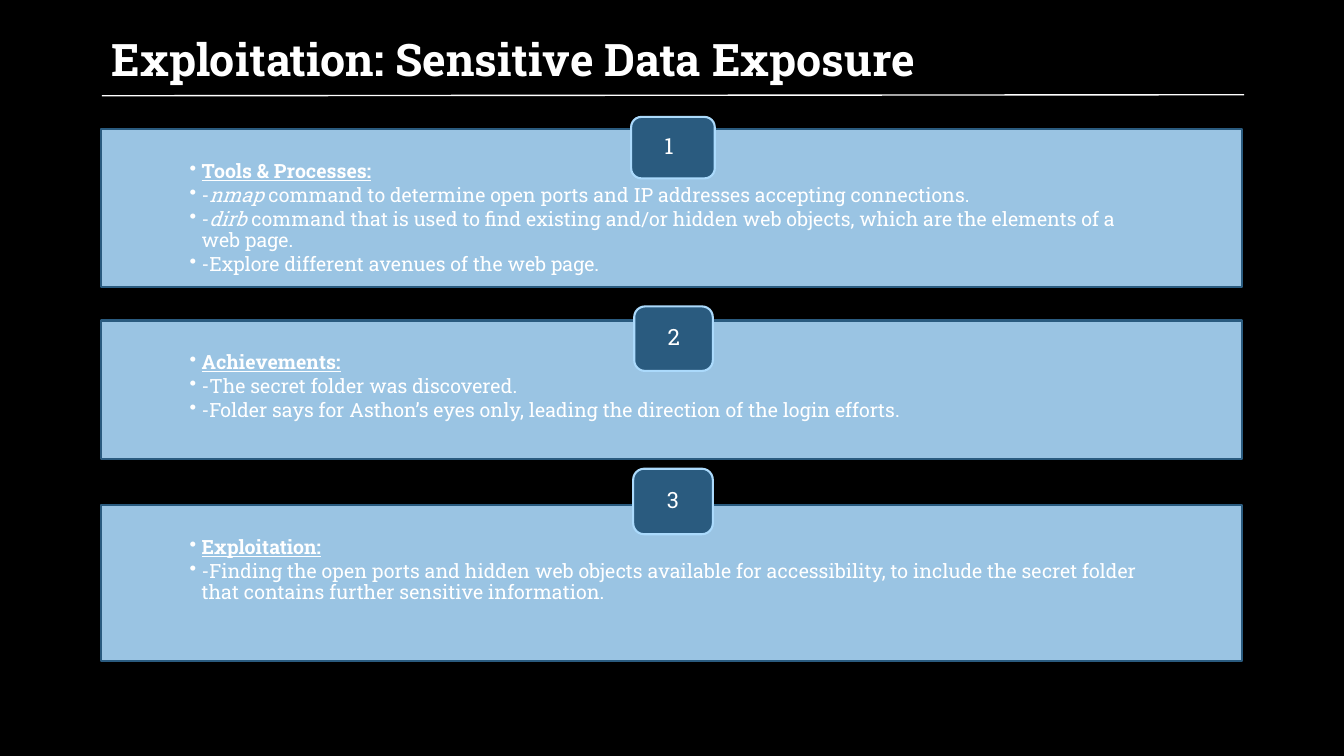
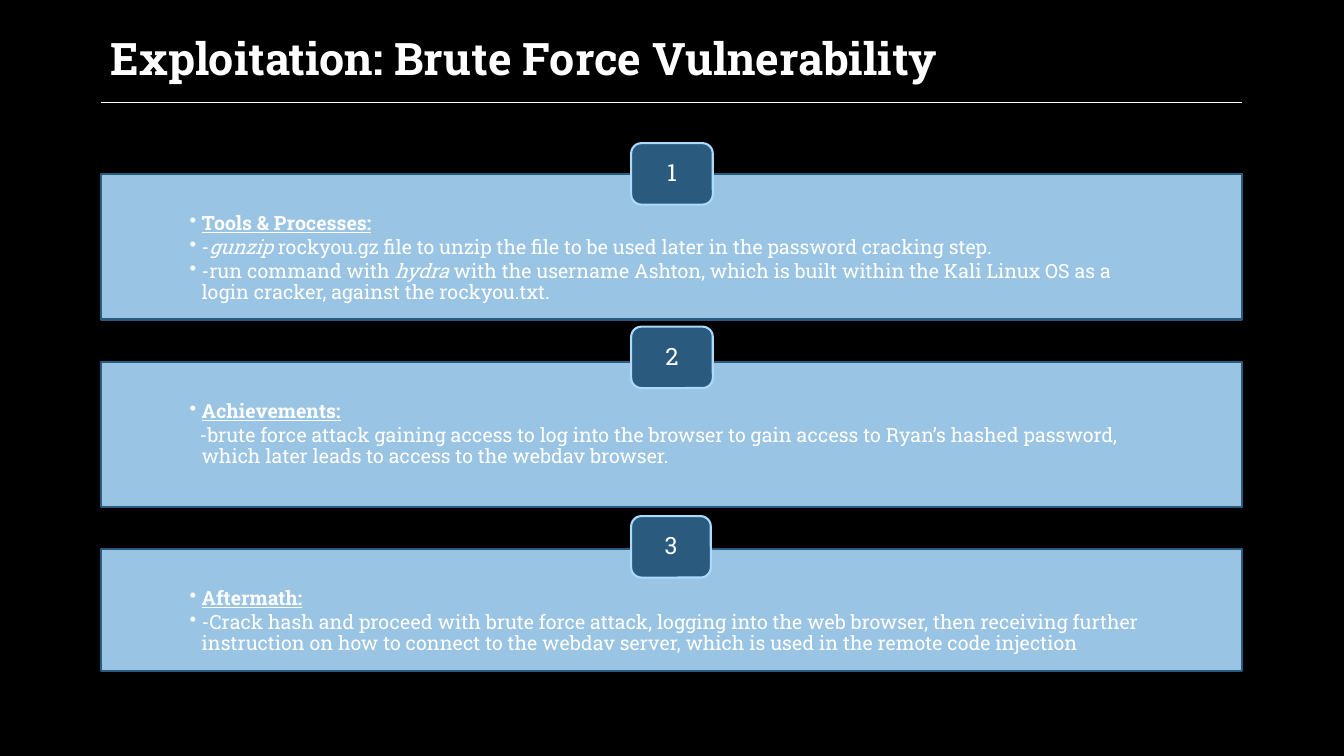
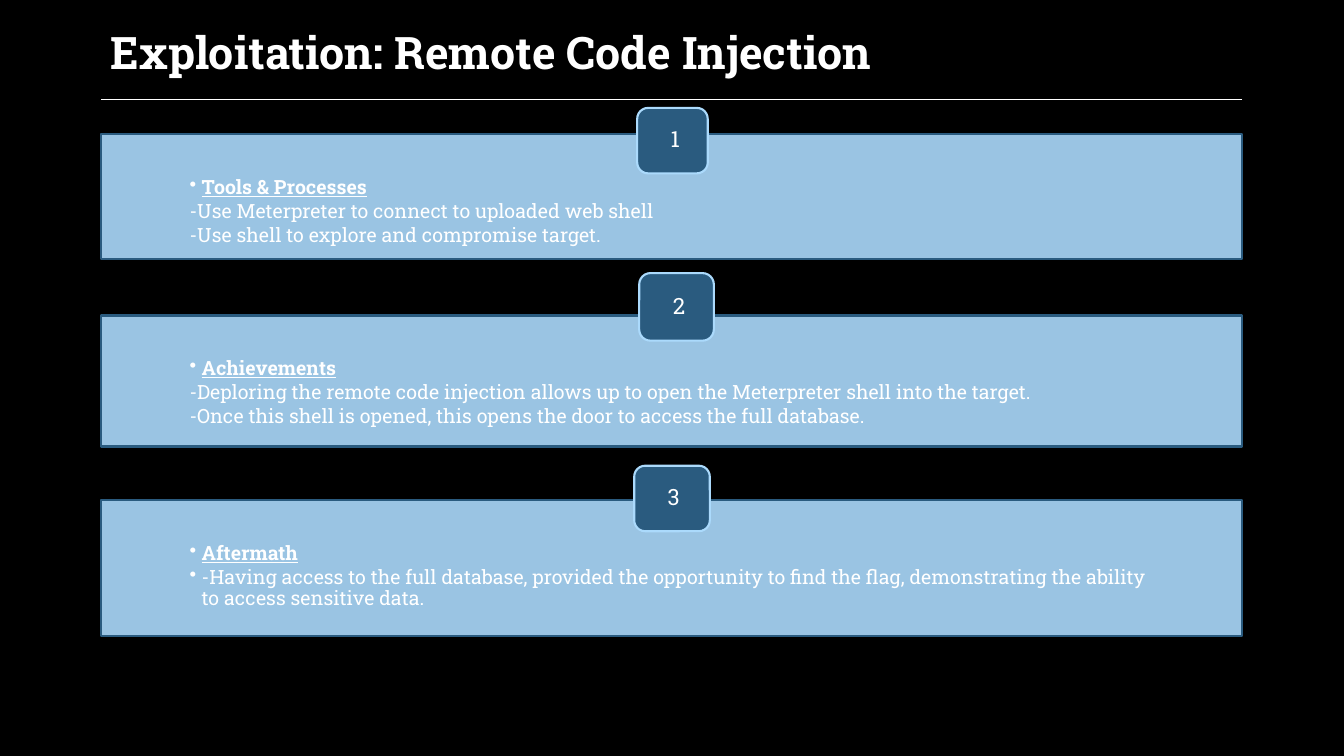
"""Builds three slides on exploitation steps, each with numbered bands."""
import pptx
import pptx.util
import pptx.dml.color
import pptx.enum.shapes
import pptx.enum.text
import pptx.oxml.ns
import lxml.etree

Inches = pptx.util.Inches
Pt = pptx.util.Pt
KIND = pptx.enum.shapes.MSO_SHAPE
ALIGN = pptx.enum.text.PP_ALIGN
ANCHOR = pptx.enum.text.MSO_ANCHOR

FONT = "Roboto Slab"
BLACK, WHITE, PALE, DEEP = "000000", "FFFFFF", "ABDAFC", "2A5B7F"
LEFT, WIDE = 1, 11.32
HANG = 0.12
FIRST = {"dot": -HANG, "plain": -HANG, "near": -0.02}

SLIDES = [
    {"title": "Exploitation: Sensitive Data Exposure", "box": (1.01, 0.29),
     "rule": (12.34, 0.94, 1.01, 0.95), "pad": 0.32, "size": 16,
     "bands": [
         {"top": 1.28, "high": 1.57, "badge": (6.26, 1.16, 0.83, 0.61), "align": ALIGN.LEFT,
          "head": "Tools & Processes:",
          "lines": [
              ("dot", "-*nmap* command to determine open ports and IP addresses accepting connections."),
              ("dot", "-*dirb* command that is used to find existing and/or hidden web objects, "
                      "which are the elements of a web page."),
              ("dot", "-Explore different avenues of the web page.")]},
         {"top": 3.18, "high": 1.37, "badge": (6.29, 3.04, 0.78, 0.64),
          "head": "Achievements:",
          "lines": [
              ("dot", "-The secret folder was discovered."),
              ("dot", "-Folder says for Asthon’s eyes only, leading the direction of the login efforts.")]},
         {"top": 5.01, "high": 1.55, "badge": (6.28, 4.65, 0.79, 0.65),
          "head": "Exploitation:",
          "lines": [
              ("dot", "-Finding the open ports and hidden web objects available for accessibility, "
                      "to include the secret folder that contains further sensitive information.")]}]},
    {"title": "Exploitation: Brute Force Vulnerability", "box": (1, 0.28),
     "rule": (12.32, 1.02, 1, 1.02), "pad": 0.39, "size": 17,
     "bands": [
         {"top": 1.73, "high": 1.44, "badge": (6.26, 1.42, 0.81, 0.61),
          "head": "Tools & Processes:",
          "lines": [
              ("dot", "-*gunzip* rockyou.gz file to unzip the file to be used later "
                      "in the password cracking step."),
              ("dot", "-run command with *hydra* with the username Ashton, which is built within "
                      "the Kali Linux OS as a login cracker, against the rockyou.txt.")]},
         {"top": 3.59, "high": 1.44, "badge": (6.26, 3.24, 0.81, 0.61),
          "head": "Achievements:",
          "lines": [
              ("near", "-brute force attack gaining access to log into the browser to gain access "
                       "to Ryan’s hashed password, which later leads to access to the webdav browser.")]},
         {"top": 5.45, "high": 1.21, "badge": (6.26, 5.12, 0.79, 0.61),
          "head": "Aftermath:",
          "lines": [
              ("dot", "-Crack hash and proceed with brute force attack, logging into the web browser, "
                      "then receiving further instruction on how to connect to the webdav server, "
                      "which is used in the remote code injection")]}]},
    {"title": "Exploitation: Remote Code Injection", "box": (1, 0.22),
     "rule": (12.32, 0.99, 1, 0.99), "pad": 0.43, "size": 16,
     "bands": [
         {"top": 1.33, "high": 1.24, "badge": (6.32, 1.07, 0.7, 0.65),
          "head": "Tools & Processes",
          "lines": [
              ("plain", "-Use Meterpreter to connect to uploaded web shell"),
              ("plain", "-Use shell to explore and compromise target.")]},
         {"top": 3.13, "high": 1.3, "badge": (6.34, 2.71, 0.74, 0.67),
          "head": "Achievements",
          "lines": [
              ("plain", "-Deploring the remote code injection allows up to open "
                        "the Meterpreter shell into the target."),
              ("plain", "-Once this shell is opened, this opens the door to access the full database.")]},
         {"top": 4.96, "high": 1.35, "badge": (6.29, 4.62, 0.75, 0.65),
          "head": "Aftermath",
          "lines": [
              ("dot", "-Having access to the full database, provided the opportunity to find the flag, "
                      "demonstrating the ability to access sensitive data.")]}]},
]


def paint(item, code):
    item.rgb = pptx.dml.color.RGBColor.from_string(code)


def add_xml(node, tag, **attrs):
    return lxml.etree.SubElement(node, pptx.oxml.ns.qn(tag), attrs)


def add_run(para, text, size, bold=False, italic=False, under=False):
    run = para.add_run()
    run.text = text
    font = run.font
    font.name, font.size = FONT, Pt(size)
    font.bold, font.italic, font.underline = bold, italic, under
    paint(font.color, WHITE)


def add_shape(slide, kind, place, fill, edge, pads):
    shape = slide.shapes.add_shape(kind, *map(Inches, place))
    shape.shadow.inherit = False
    shape.fill.solid()
    paint(shape.fill.fore_color, fill)
    paint(shape.line.color, edge)
    shape.line.width = Pt(1.5)
    frame = shape.text_frame
    frame.word_wrap = True
    frame.margin_left, frame.margin_top, frame.margin_right, frame.margin_bottom = map(Inches, pads)
    return shape


def set_para(para, mark):
    para.alignment = ALIGN.LEFT
    para.line_spacing = 0.9
    para.space_after = Pt(2)
    props = para._p.get_or_add_pPr()
    props.set("marL", str(Inches(HANG)))
    props.set("indent", str(Inches(FIRST[mark])))
    if mark == "dot":
        add_xml(props, "a:buChar", char="•")


def add_band(slide, band, pad):
    shape = add_shape(slide, KIND.RECTANGLE, (LEFT, band["top"], WIDE, band["high"]),
                      PALE, DEEP, (0.88, pad, 0.88, 0.11))
    tint = shape.fill._xPr.find(".//" + pptx.oxml.ns.qn("a:srgbClr"))
    add_xml(tint, "a:alpha", val="90000")
    frame = shape.text_frame
    frame.vertical_anchor = ANCHOR.TOP
    para = frame.paragraphs[0]
    set_para(para, "dot")
    add_run(para, band["head"], 14, bold=True, under=True)
    for mark, text in band["lines"]:
        para = frame.add_paragraph()
        set_para(para, mark)
        for num, part in enumerate(text.split("*")):
            add_run(para, part, 14, italic=num % 2 == 1)


def add_badge(slide, band, num, size):
    shape = add_shape(slide, KIND.ROUNDED_RECTANGLE, band["badge"], DEEP, PALE, (0.3, 0, 0.3, 0))
    shape.text_frame.vertical_anchor = ANCHOR.MIDDLE
    para = shape.text_frame.paragraphs[0]
    para.alignment = band.get("align", ALIGN.CENTER)
    para.line_spacing = 0.9
    add_run(para, str(num), size)


def add_title(slide, text, box):
    title = slide.shapes.title
    title.left, title.top, title.width, title.height = map(Inches, (*box, WIDE, 0.65))
    frame = title.text_frame
    frame.auto_size = pptx.enum.text.MSO_AUTO_SIZE.NONE
    frame.vertical_anchor = ANCHOR.MIDDLE
    para = frame.paragraphs[0]
    para.alignment = ALIGN.LEFT
    para.line_spacing = 0.9
    add_run(para, text, 32, bold=True)


def add_rule(slide, ends):
    rule = slide.shapes.add_connector(pptx.enum.shapes.MSO_CONNECTOR.STRAIGHT, *map(Inches, ends))
    paint(rule.line.color, WHITE)
    rule.line.width = Pt(1)
    add_xml(rule._element.spPr, "a:effectLst")


def main():
    deck = pptx.Presentation()
    deck.slide_width, deck.slide_height = Inches(13.33), Inches(7.5)
    back = deck.slide_master.background.fill
    back.solid()
    paint(back.fore_color, BLACK)
    for page in SLIDES:
        slide = deck.slides.add_slide(deck.slide_layouts[5])
        add_title(slide, page["title"], page["box"])
        for num, band in enumerate(page["bands"], 1):
            add_band(slide, band, page["pad"])
            add_badge(slide, band, num, page["size"])
        add_rule(slide, page["rule"])
    deck.save("out.pptx")


if __name__ == "__main__":
    main()
